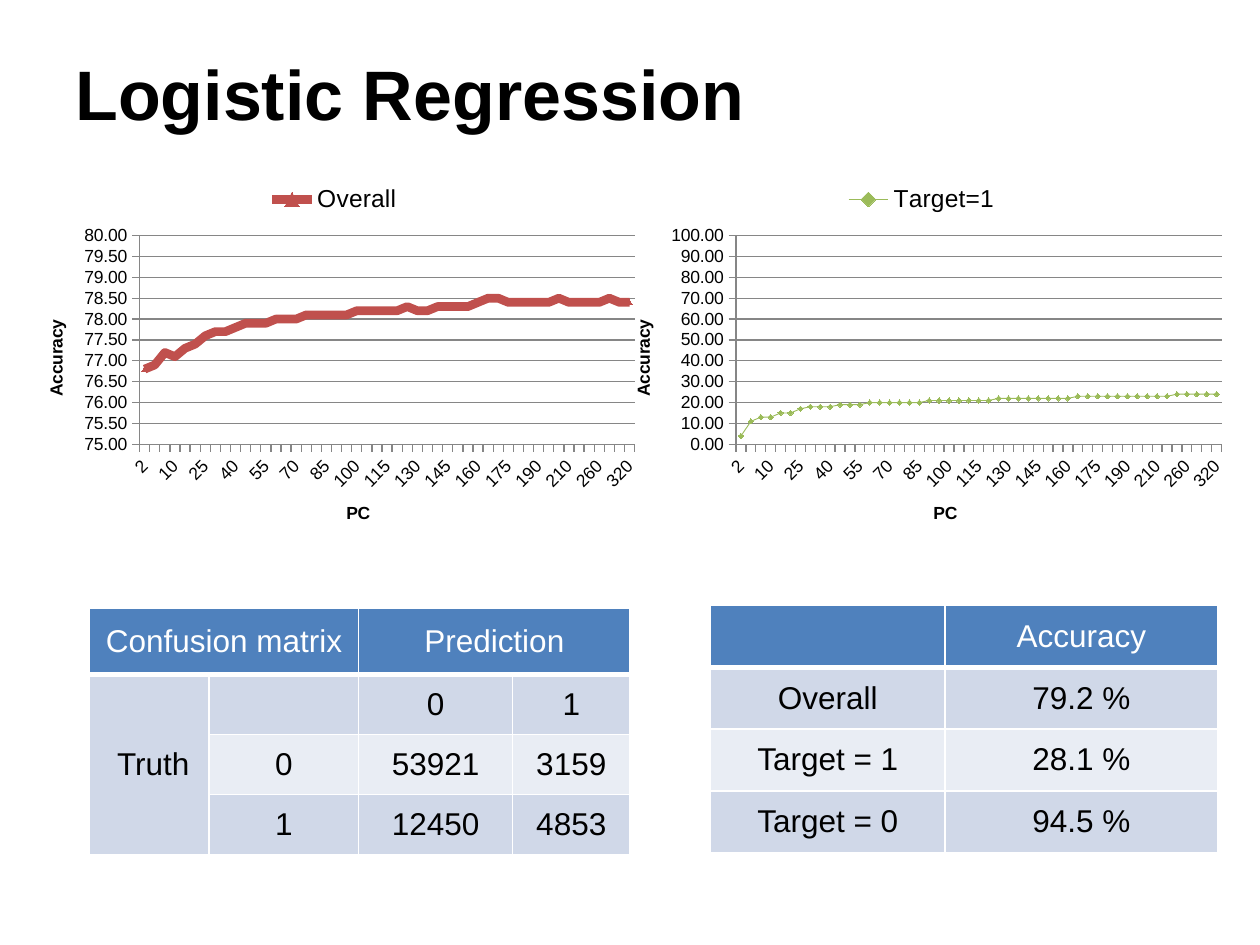
from lxml import etree
from pptx import Presentation
from pptx.chart.data import CategoryChartData
from pptx.dml.color import RGBColor
from pptx.enum.chart import (XL_CHART_TYPE, XL_LEGEND_POSITION,
                             XL_MARKER_STYLE, XL_TICK_MARK)
from pptx.enum.text import MSO_ANCHOR, PP_ALIGN
from pptx.oxml.ns import qn
from pptx.util import Pt

LINE = XL_CHART_TYPE.LINE_MARKERS
TOP = XL_LEGEND_POSITION.TOP
OUT = XL_TICK_MARK.OUTSIDE
NONE = XL_TICK_MARK.NONE
WEDGE = XL_MARKER_STYLE.TRIANGLE
GEM = XL_MARKER_STYLE.DIAMOND
MID = MSO_ANCHOR.MIDDLE
LEFT, MIDDLE = PP_ALIGN.LEFT, PP_ALIGN.CENTER

BLACK, WHITE, GREY = "000000", "FFFFFF", "868686"
BLUE, RED, GREEN = "4F81BD", "C0504D", "9BBB59"
BANDS = "D0D8E8", "E9EDF4"


def paint(target, code):
    """Colour a fill, or a font's fill, with a hex string."""
    target.solid()
    target.fore_color.rgb = RGBColor.from_string(code)


def put(item, vals):
    for name, val in vals.items():
        setattr(item, name, val)


class Deck:
    face = "Arial"

    def __init__(self, wide, high):
        self.prs = Presentation()
        put(self.prs, {"slide_width": Pt(wide), "slide_height": Pt(high)})
        self.slide = self.prs.slides.add_slide(self.prs.slide_layouts[5])

    def font(self, font, size, code=BLACK, bold=False):
        put(font, {"name": self.face, "size": Pt(size), "bold": bold})
        paint(font.fill, code)

    def title(self, text, box):
        head = self.slide.shapes.title
        put(head, dict(zip(("left", "top", "width", "height"), map(Pt, box))))
        put(head.text_frame, {"text": text, "vertical_anchor": MID})
        para = head.text_frame.paragraphs[0]
        para.alignment = LEFT
        self.font(para.runs[0].font, 40, bold=True)

    def edges(self, cell, last):
        props = cell._tc.get_or_add_tcPr()
        for side in "LRTB":
            width = last if side == "B" else 1
            line = etree.SubElement(props, qn(f"a:ln{side}"), w=str(Pt(width)))
            fill = etree.SubElement(line, qn("a:solidFill"))
            etree.SubElement(fill, qn("a:srgbClr"), val=WHITE)

    def table(self, left, top, cols, highs, rows, spans=()):
        frame = self.slide.shapes.add_table(
            len(rows), len(cols), Pt(left), Pt(top), Pt(sum(cols)), Pt(sum(highs)))
        grid = frame.table
        for col, width in zip(grid.columns, cols):
            col.width = Pt(width)
        for row, high in zip(grid.rows, highs):
            row.height = Pt(high)
        for i, row in enumerate(rows):
            for j, text in enumerate(row):
                cell = grid.cell(i, j)
                self.edges(cell, 1 if i else 3)
                paint(cell.fill, BANDS[(i - 1) % 2] if i else BLUE)
                cell.vertical_anchor = MID
                para = cell.text_frame.paragraphs[0]
                para.alignment = MIDDLE
                if text:
                    run = para.add_run()
                    run.text = text
                    self.font(run.font, 18, BLACK if i else WHITE)
        for first, last in spans:
            grid.cell(*first).merge(grid.cell(*last))

    def axis(self, axis, label, vals):
        put(axis, {"major_tick_mark": OUT, "minor_tick_mark": NONE, **vals})
        self.font(axis.tick_labels.font, 10)
        paint(axis.format.line.fill, GREY)
        axis.axis_title.text_frame.text = label
        run = axis.axis_title.text_frame.paragraphs[0].runs[0]
        self.font(run.font, 10, bold=True)

    def chart(self, left, name, cats, vals, scale, style, code, width):
        data = CategoryChartData()
        data.categories = cats
        data.add_series(name, vals)
        chart = self.slide.shapes.add_chart(
            LINE, Pt(left), Pt(98), Pt(360), Pt(216), data).chart
        put(chart, {"has_title": False, "has_legend": True})
        self.font(chart.font, 10)
        put(chart.legend, {"position": TOP, "include_in_layout": False})
        self.font(chart.legend.font, 14)

        # Series line and markers
        chart.plots[0].vary_by_categories = False
        line = chart.plots[0].series[0]
        line.smooth = False
        paint(line.format.line.fill, code)
        line.format.line.width = Pt(width)
        put(line.marker, {"style": style, "size": 3})
        paint(line.marker.format.fill, code)
        paint(line.marker.format.line.fill, code)

        # Axes: every third label, slanted
        low, high, step = scale
        side, base = chart.value_axis, chart.category_axis
        self.axis(side, "Accuracy", {
            "minimum_scale": low, "maximum_scale": high,
            "major_unit": step, "has_major_gridlines": True})
        put(side.tick_labels, {"number_format": "0.00",
                               "number_format_is_linked": False})
        paint(side.major_gridlines.format.line.fill, GREY)
        self.axis(base, "PC ", {"has_major_gridlines": False})
        node = base._element
        node.find(qn("c:txPr")).find(qn("a:bodyPr")).set("rot", "-2700000")
        skip = etree.Element(qn("c:tickLblSkip"), val="3")
        node.find(qn("c:noMultiLvlLbl")).addprevious(skip)


def main():
    deck = Deck(720, 540)
    deck.title("Logistic Regression", (36, 8, 648, 90))

    # Accuracy by number of components
    cats = [str(n) for n in (2, 3, 5, *range(10, 201, 5), 210, *range(220, 321, 20))]
    whole = [76.8, 76.9, 77.2, 77.1, 77.3, 77.4, 77.6, 77.7, 77.7, 77.8,
             77.9, 77.9, 77.9, 78, 78, 78, 78.1, 78.1, 78.1, 78.1,
             78.1, 78.2, 78.2, 78.2, 78.2, 78.2, 78.3, 78.2, 78.2, 78.3,
             78.3, 78.3, 78.3, 78.4, 78.5, 78.5, 78.4, 78.4, 78.4, 78.4,
             78.4, 78.5, 78.4, 78.4, 78.4, 78.4, 78.5, 78.4, 78.4]
    ones = [4, 11, 13, 13, 15, 15, 17, 18, 18, 18, 19, 19, 19,
            *[20] * 6, *[21] * 7, *[22] * 8, *[23] * 10, *[24] * 5]
    deck.chart(11, "Overall", cats, whole, (75, 80, 0.5), WEDGE, RED, 5)
    deck.chart(346.5, "Target=1", cats, ones, (0, 100, 10), GEM, GREEN, 0.5)

    # Accuracy table
    deck.table(406, 346, (134, 156), [35.3] * 4, [
        ("", "Accuracy"),
        ("Overall", "79.2 %"),
        ("Target = 1", "28.1 %"),
        ("Target = 0", "94.5 %")])

    # Confusion matrix
    deck.table(51, 347.5, (68.5, 85.5, 88, 67), (38, 34.3, 34.3, 34.3), [
        ("Confusion matrix", "", "Prediction", ""),
        (" Truth", "", "0", "1"),
        ("", "0", "53921", "3159"),
        ("", "1", "12450", "4853")],
        [((0, 0), (0, 1)), ((0, 2), (0, 3)), ((1, 0), (3, 0))])

    deck.prs.save("out.pptx")


if __name__ == "__main__":
    main()
